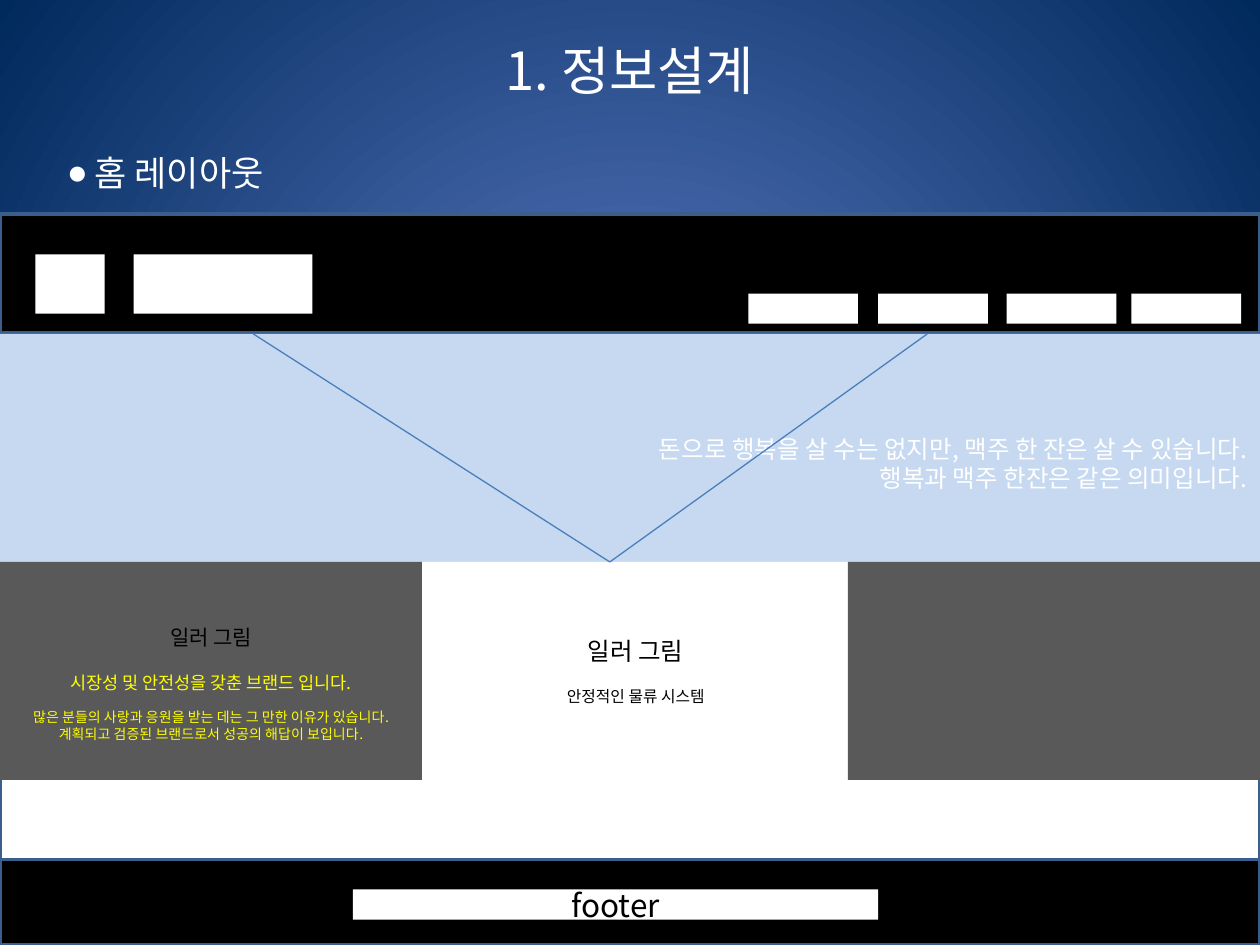
from lxml import etree
from pptx import Presentation
from pptx import util as u
from pptx.dml.color import RGBColor
from pptx.enum import shapes, text
from pptx.oxml.ns import qn

FONT = "Noto Sans CJK KR"
WHITE = RGBColor(0xFF, 0xFF, 0xFF)
BLACK = RGBColor(0, 0, 0)
GRAY = RGBColor(0x59, 0x59, 0x59)
YELLOW = RGBColor(0xFF, 0xFF, 0)
SKY = RGBColor(0xC6, 0xD9, 0xF1)
BORDER = RGBColor(0x3A, 0x5F, 0x8C)
LINK = RGBColor(0x4B, 0x7E, 0xBC)
GLOW = RGBColor(0x5E, 0x7C, 0xC5)
NAVY = RGBColor(0, 0x29, 0x5C)
LEFT, CENTER, RIGHT = (text.PP_ALIGN.LEFT, text.PP_ALIGN.CENTER,
                       text.PP_ALIGN.RIGHT)


def write(tf, lines, align, **frame):
    """Each line is (words, size, colour, space before)."""
    settings = dict(word_wrap=True, vertical_anchor=text.MSO_ANCHOR.MIDDLE)
    settings.update(frame)
    for name, value in settings.items():
        setattr(tf, name, value)
    for i, (words, size, color, gap) in enumerate(lines):
        p = tf.paragraphs[0] if i == 0 else tf.add_paragraph()
        p.alignment, p.space_before = align, u.Pt(gap)
        r = p.add_run()
        r.text = words
        for name, value in dict(name=FONT, size=u.Pt(size), bold=False).items():
            setattr(r.font, name, value)
        r.font.color.rgb = color
        etree.SubElement(r.font._element, qn("a:ea"), typeface=FONT)


def place(sp, box):
    for name, value in zip(("left", "top", "width", "height"), box):
        setattr(sp, name, u.Inches(value))


def block(s, box, fill, border=False):
    sp = s.shapes.add_shape(shapes.MSO_SHAPE.RECTANGLE,
                            *(u.Inches(v) for v in box))
    sp.shadow.inherit = False
    sp.fill.solid()
    sp.fill.fore_color.rgb = fill
    if border:
        sp.line.color.rgb = BORDER
        sp.line.width = u.Pt(2)
    else:
        sp.line.fill.background()
    return sp


def background(s):
    fill = s.background.fill
    fill.gradient()
    for stop, color in zip(fill.gradient_stops, (GLOW, NAVY)):
        stop.color.rgb = color
    grad = s.element.find(".//" + qn("a:gradFill"))
    grad.remove(grad.find(qn("a:lin")))
    radial = etree.SubElement(grad, qn("a:path"), path="circle")
    etree.SubElement(radial, qn("a:fillToRect"),
                     {side: "50000" for side in "ltrb"})


def heading(s, title_box, list_box):
    title, body = s.placeholders
    place(title, title_box)
    write(title.text_frame, [("1. 정보설계", 30, WHITE, 0)], CENTER)
    place(body, list_box)
    write(body.text_frame, [("홈 레이아웃", 20, WHITE, 0)], LEFT,
          word_wrap=False, vertical_anchor=text.MSO_ANCHOR.TOP)
    # Round bullet with a hanging indent
    pPr = body.text_frame.paragraphs[0]._p.get_or_add_pPr()
    indent = u.Inches(0.22)
    pPr.set("marL", str(indent))
    pPr.set("indent", str(-indent))
    etree.SubElement(pPr, qn("a:buChar"), char="●")


def header(s, box):
    x, y, w, h = box
    block(s, box, BLACK, border=True)
    # Logo and site name
    for dx, width in ((0.28, 0.55), (1.06, 1.42)):
        block(s, (x + dx, y + 0.32, width, 0.47), WHITE)
    # Menu buttons
    for dx in (5.94, 6.97, 7.99, 8.98):
        block(s, (x + dx, y + 0.63, 0.87, 0.24), WHITE)


def hero(s, box):
    sp = block(s, box, SKY)
    write(sp.text_frame,
          [("돈으로 행복을 살 수는 없지만, 맥주 한 잔은 살 수 있습니다.", 14, WHITE, 0),
           ("행복과 맥주 한잔은 같은 의미입니다.", 14, WHITE, 0)], RIGHT)


def panels(s, box):
    x, y, w, h = box
    left = [("일러 그림", 12, BLACK, 0),
            ("시장성 및 안전성을 갖춘 브랜드 입니다.", 10, YELLOW, 12.5),
            ("많은 분들의 사랑과 응원을 받는 데는 그 만한 이유가 있습니다.", 8, YELLOW, 9),
            ("계획되고 검증된 브랜드로서 성공의 해답이 보입니다.", 8, YELLOW, 0)]
    middle = [("일러 그림", 14, BLACK, 0),
              ("안정적인 물류 시스템", 9, BLACK, 12)]
    columns = ((0, 3.35, GRAY, left, 0.25),
               (3.35, 3.39, WHITE, middle, 0.05),
               (6.73, w - 6.73, GRAY, [], 0.05))
    for dx, width, fill, lines, inset in columns:
        sp = block(s, (x + dx, y, width, h), fill)
        if lines:
            write(sp.text_frame, lines, CENTER, margin_top=u.Inches(inset))


def footer(s, box):
    x, y, w, h = box
    block(s, box, BLACK, border=True)
    sp = block(s, (x + 0.28 * w, y + 0.24, 4.17, 0.24), WHITE)
    write(sp.text_frame, [("footer", 18, BLACK, 0)], CENTER)


def pointer(s, points):
    for start, end in zip(points, points[1:]):
        line = s.shapes.add_connector(shapes.MSO_CONNECTOR.STRAIGHT,
                                      *(u.Inches(v) for v in start + end))
        line.line.color.rgb = LINK
        line.line.width = u.Pt(0.75)
        etree.SubElement(line._element.spPr, qn("a:effectLst"))


prs = Presentation()
prs.slide_width, prs.slide_height = u.Inches(10), u.Inches(7.5)
s = prs.slides.add_slide(prs.slide_layouts[1])
background(s)
heading(s, (0.5, 0.13, 9, 0.85), (0.43, 1.15, 1.83, 0.44))
# Home page wireframe, from top to bottom
block(s, (0, 1.7, 10, 5.64), WHITE, border=True)
header(s, (0, 1.7, 10, 0.94))
hero(s, (0, 2.65, 10, 2.05))
panels(s, (0, 4.46, 10, 1.73))
footer(s, (0, 6.82, 10, 0.68))
pointer(s, [(2.01, 2.65), (4.84, 4.46), (7.36, 2.65)])
prs.save("out.pptx")
